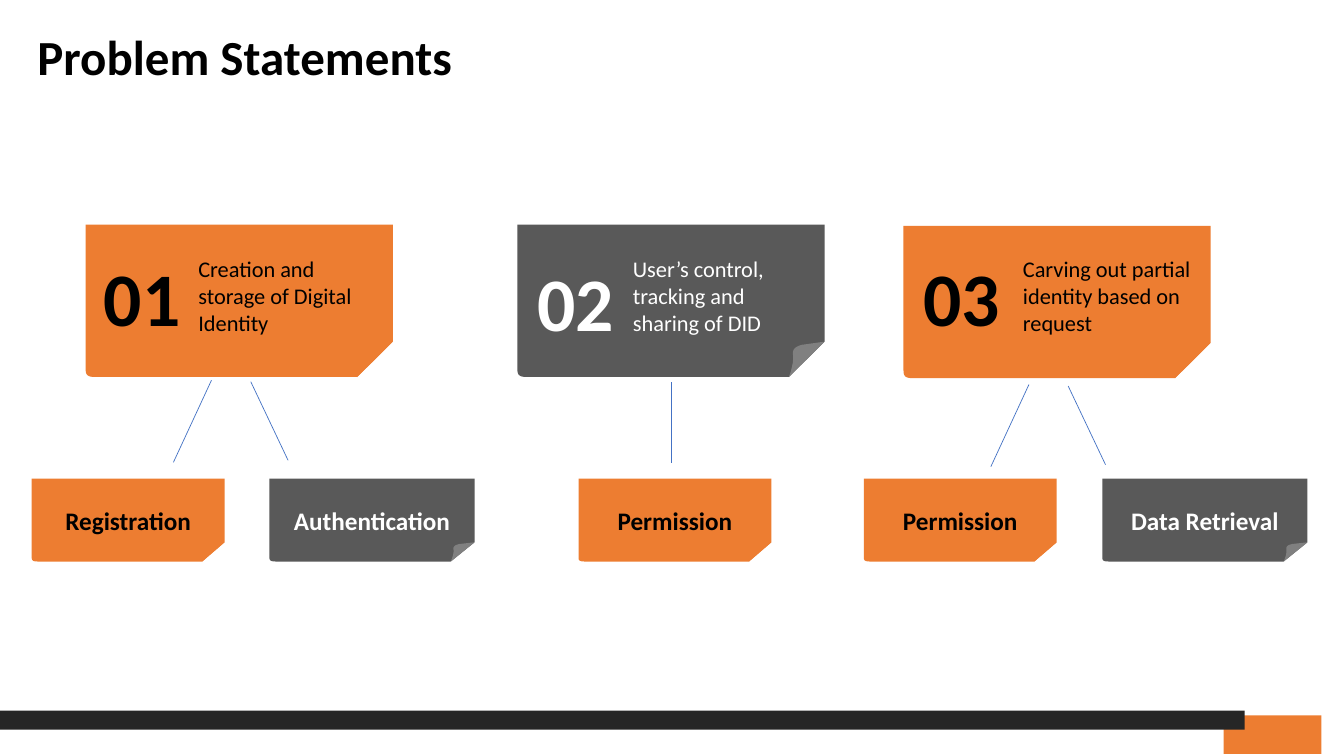
from dataclasses import dataclass

import pptx
import pptx.dml.color
import pptx.enum.shapes
import pptx.enum.text
import pptx.oxml.ns
import pptx.util
from lxml import etree

Cm = pptx.util.Cm
Align = pptx.enum.text.PP_ALIGN
Anchor = pptx.enum.text.MSO_ANCHOR


@dataclass(frozen=True)
class Theme:
    font: str = "Calibri"
    orange: str = "ED7D31"
    gray: str = "595959"
    curl: str = "808080"
    bar: str = "262626"
    line: str = "4472C4"
    black: str = "000000"
    white: str = "FFFFFF"
    title_size: float = 35
    number_size: float = 54
    label_size: float = 18
    body_size: float = 16
    line_width: float = 0.5


THEME = Theme()
ORANGE_CARD = (THEME.orange, THEME.orange, THEME.black)
GRAY_CARD = (THEME.gray, THEME.curl, THEME.white)
FOLD_X, FOLD_Y = 0.884, 0.768


def color(value):
    return pptx.dml.color.RGBColor.from_string(value)


def paint(shape, fill):
    shape.shadow.inherit = False
    shape.fill.solid()
    shape.fill.fore_color.rgb = color(fill)
    shape.line.fill.background()


def write(shape, text, size, ink, bold=False, align=Align.LEFT, anchor=Anchor.TOP, inset=0):
    frame = shape.text_frame
    frame.text = text
    frame.word_wrap = True
    frame.auto_size = pptx.enum.text.MSO_AUTO_SIZE.NONE
    frame.vertical_anchor = anchor
    frame.margin_left = frame.margin_right = Cm(inset)
    frame.margin_top = frame.margin_bottom = Cm(inset / 2)
    paragraph = frame.paragraphs[0]
    paragraph.alignment = align
    font = paragraph.runs[0].font
    font.name = THEME.font
    font.size = pptx.util.Pt(size)
    font.bold = bold
    font.color.rgb = color(ink)


def curve(start, control_1, control_2, end, steps=8):
    points = []
    for step in range(1, steps + 1):
        t = step / steps
        weights = ((1 - t) ** 3, 3 * t * (1 - t) ** 2, 3 * t * t * (1 - t), t ** 3)
        corners = (start, control_1, control_2, end)
        points.append(tuple(sum(w * corner[axis] for w, corner in zip(weights, corners))
                            for axis in (0, 1)))
    return points


def card_outline():
    corner = curve((0, 0.95), (0, 0.985), (0.005, 1), (0.03, 1))
    return [(1, FOLD_Y), (1, 0), (0, 0), (0, 0.95), *corner, (FOLD_X, 1)]


def curl_outline():
    start, bend, shoulder = (0, 1), (0.11, 0.34), (0.36, 0.09)
    points = [start, *curve(start, (0.17, 0.55), bend, bend),
              *curve(bend, (0.11, 0.2), (0.19, 0.14), shoulder), (1, 0)]
    return [(FOLD_X + x * (1 - FOLD_X), FOLD_Y + y * (1 - FOLD_Y)) for x, y in points]


def add_outline(shapes, box, outline, fill):
    left, top, width, height = box
    points = [(Cm(left + x * width), Cm(top + y * height)) for x, y in outline]
    builder = shapes.build_freeform(*points[0])
    builder.add_line_segments(points[1:], close=True)
    shape = builder.convert_to_shape()
    paint(shape, fill)
    return shape


def add_card(slide, box, style):
    fill, curl, ink = style
    group = slide.shapes.add_group_shape()
    card = add_outline(group.shapes, box, card_outline(), fill)
    add_outline(group.shapes, box, curl_outline(), curl)
    return card


def add_text(slide, box, text, size, ink, **options):
    textbox = slide.shapes.add_textbox(*map(Cm, box))
    write(textbox, text, size, ink, **options)


def add_problem(slide, left, top, number, number_place, text, text_left, style):
    add_card(slide, (left, top, 7.74, 3.84), style)
    add_text(slide, (text_left, 6.43, 4.34, 2.06), text, THEME.body_size, style[2])
    add_text(slide, (*number_place, 2.49, 2.31), number, THEME.number_size, style[2],
             bold=True, align=Align.CENTER, anchor=Anchor.MIDDLE)


def add_topic(slide, left, width, text, style):
    card = add_card(slide, (left, 12.06, width, 2.09), style)
    write(card, text, THEME.label_size, style[2], bold=True,
          align=Align.CENTER, anchor=Anchor.MIDDLE, inset=0.25)


def add_branch(slide, *ends):
    connector = slide.shapes.add_connector(
        pptx.enum.shapes.MSO_CONNECTOR.STRAIGHT, *map(Cm, ends))
    connector.line.color.rgb = color(THEME.line)
    connector.line.width = pptx.util.Pt(THEME.line_width)
    properties = connector.element.spPr
    etree.SubElement(properties, pptx.oxml.ns.qn("a:effectLst"))


def add_block(slide, box, fill):
    block = slide.shapes.add_shape(
        pptx.enum.shapes.MSO_SHAPE.RECTANGLE, *map(Cm, box))
    paint(block, fill)


def set_title(slide, text):
    title = slide.shapes.title
    title.left, title.top, title.width, title.height = map(Cm, (0.94, 0.66, 32.16, 1.5))
    write(title, text, THEME.title_size, THEME.black, bold=True)


def main():
    presentation = pptx.Presentation()
    presentation.slide_width = Cm(33.87)
    presentation.slide_height = Cm(19.05)
    slide = presentation.slides.add_slide(presentation.slide_layouts[5])
    set_title(slide, "Problem Statements")

    add_problem(slide, 2.16, 5.66, "01", (2.34, 6.3),
                "Creation and storage of Digital Identity", 5, ORANGE_CARD)
    add_problem(slide, 13.04, 5.66, "02", (13.26, 6.43),
                "User’s control, tracking and sharing of DID", 15.95, GRAY_CARD)
    add_problem(slide, 22.77, 5.69, "03", (22.99, 6.3),
                "Carving out partial identity based on request", 25.78, ORANGE_CARD)

    add_topic(slide, 0.8, 4.86, "Registration", ORANGE_CARD)
    add_topic(slide, 6.79, 5.17, "Authentication", GRAY_CARD)
    add_topic(slide, 14.58, 4.86, "Permission", ORANGE_CARD)
    add_topic(slide, 21.77, 4.86, "Permission", ORANGE_CARD)
    add_topic(slide, 27.78, 5.17, "Data Retrieval", GRAY_CARD)

    for left, top in ((5.33, 9.58), (25.93, 9.69)):
        add_branch(slide, left, top, left - 0.96, top + 2.07)
        add_branch(slide, left + 0.99, top + 0.04, left + 1.93, top + 2.02)
    add_branch(slide, 16.92, 9.63, 16.92, 11.66)

    add_block(slide, (30.84, 18.03, 2.46, 0.97), THEME.orange)
    add_block(slide, (0, 17.91, 31.37, 0.48), THEME.bar)
    presentation.save("out.pptx")


if __name__ == "__main__":
    main()
